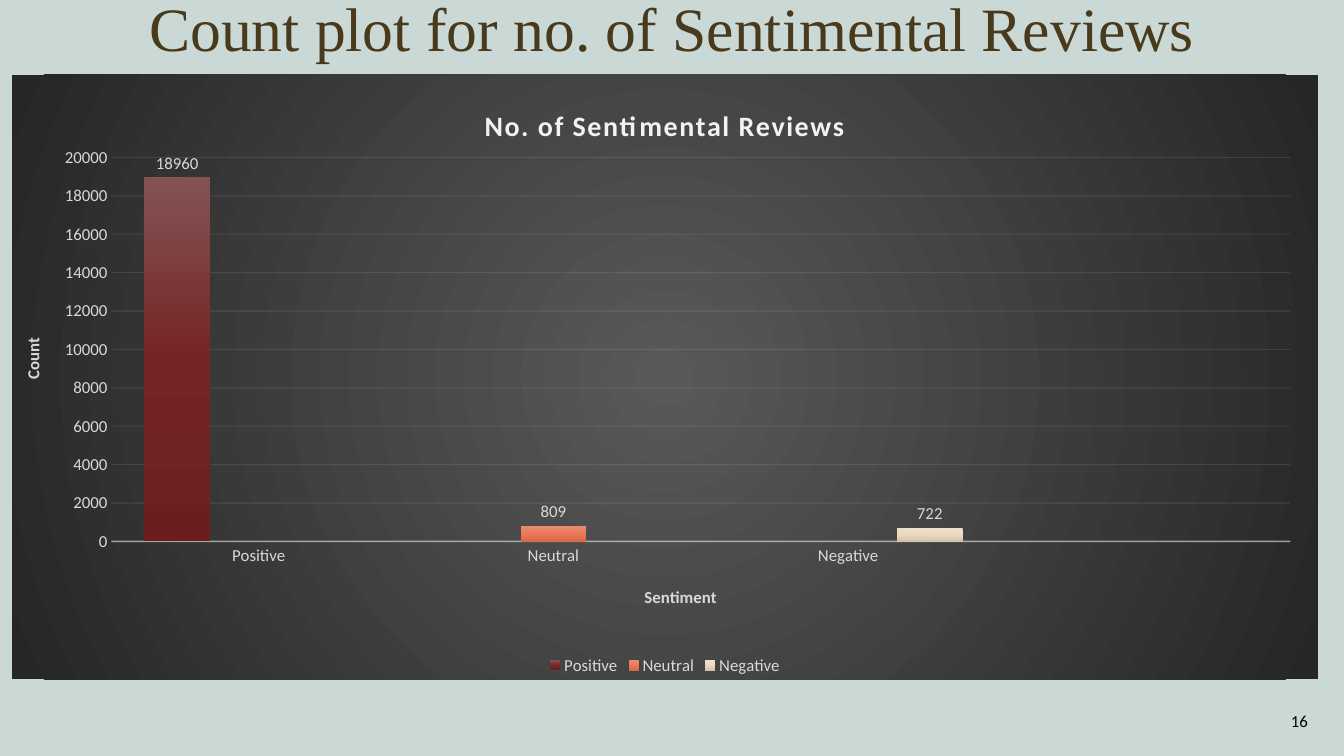
from lxml.etree import SubElement
from pptx import Presentation
from pptx.chart.data import CategoryChartData
from pptx.dml.color import RGBColor
from pptx.enum.chart import XL_CHART_TYPE, XL_LABEL_POSITION, XL_LEGEND_POSITION, XL_TICK_MARK
from pptx.enum.text import MSO_ANCHOR, PP_ALIGN
from pptx.oxml import parse_xml
from pptx.oxml.ns import nsdecls, qn
from pptx.util import Inches, Pt

BACKGROUND = RGBColor(0xCA, 0xD8, 0xD6)
BROWN = RGBColor(0x4A, 0x3A, 0x1C)
BLACK = RGBColor(0, 0, 0)
LIGHT_GREY = RGBColor(0xD9, 0xD9, 0xD9)
OFF_WHITE = RGBColor(0xF2, 0xF2, 0xF2)

# Gradient colours, from first stop to last
CHART_FILL = [RGBColor(0x59, 0x59, 0x59), RGBColor(0x26, 0x26, 0x26)]
BAR_FILLS = [
    [RGBColor(0x83, 0x52, 0x53), RGBColor(0x76, 0x25, 0x26), RGBColor(0x6C, 0x1E, 0x1F)],
    [RGBColor(0xE8, 0x8D, 0x75), RGBColor(0xEB, 0x79, 0x59), RGBColor(0xD8, 0x67, 0x48)],
    [RGBColor(0xEC, 0xE0, 0xCD), RGBColor(0xEA, 0xDA, 0xC2), RGBColor(0xD3, 0xC3, 0xAA)],
]
REVIEW_COUNTS = {"Positive": 18960, "Neutral": 809, "Negative": 722}


def add_gradient(properties, colors, direction):
    step = 100000 // (len(colors) - 1)
    stops = "".join(f'<a:gs pos="{index * step}"><a:srgbClr val="{color}"/></a:gs>'
                    for index, color in enumerate(colors))
    properties.append(parse_xml(
        f'<a:gradFill {nsdecls("a")}><a:gsLst>{stops}</a:gsLst>{direction}</a:gradFill>'))


def set_layout(parent, position, **values):
    """Place a chart part by fractions of the chart's size."""
    for old_layout in parent.findall(qn("c:layout")):
        parent.remove(old_layout)
    layout = parse_xml(f'<c:layout {nsdecls("c")}><c:manualLayout/></c:layout>')
    for name, value in values.items():
        SubElement(layout[0], qn(f"c:{name}")).set("val", str(value))
    parent.insert(position, layout)


deck = Presentation()
deck.slide_width, deck.slide_height = Inches(13.33), Inches(7.5)
page = deck.slides.add_slide(deck.slide_layouts[5])
page.background.fill.solid()
page.background.fill.fore_color.rgb = BACKGROUND

# Slide title
title = page.shapes.title
title.left, title.top = Inches(0.92), Inches(-0.12)
title.width, title.height = Inches(11.5), Inches(0.87)
title.text_frame.text = "Count plot for no. of Sentimental Reviews"
title.text_frame.vertical_anchor = MSO_ANCHOR.MIDDLE
para = title.text_frame.paragraphs[0]
para.alignment = PP_ALIGN.CENTER
para.line_spacing = 0.9
para.font.name, para.font.size = "Times New Roman", Pt(44)
para.font.color.rgb = BROWN

# Chart data: one series per sentiment, with a spare slot on the right
data = CategoryChartData()
data.categories = [*REVIEW_COUNTS, ""]
for sentiment, count in REVIEW_COUNTS.items():
    data.add_series(sentiment, [count if name == sentiment else None
                                for name in [*REVIEW_COUNTS, ""]])
chart = page.shapes.add_chart(XL_CHART_TYPE.COLUMN_CLUSTERED, Inches(0.12), Inches(0.74),
                              Inches(12.95), Inches(6), data).chart
chart.font.name, chart.font.size = "Calibri", Pt(12)
chart.font.color.rgb = LIGHT_GREY

# Chart background and plot area
chart_space = chart.element
area = parse_xml(f'<c:spPr {nsdecls("c", "a")}/>')
chart_space.find(qn("c:chart")).addnext(area)
add_gradient(area, CHART_FILL, '<a:path path="circle">'
             '<a:fillToRect l="50000" t="50000" r="50000" b="50000"/></a:path>')
area.append(parse_xml(f'<a:ln {nsdecls("a")}><a:noFill/></a:ln>'))
set_layout(chart_space.find(".//" + qn("c:plotArea")), 0, layoutTarget="inner",
           xMode="edge", yMode="edge", x=0.076, y=0.137, w=0.903, h=0.635)

# Bars and their labels
plot = chart.plots[0]
plot.vary_by_categories = False
plot.gap_width, plot.overlap = 100, -24
for series, colors in zip(plot.series, BAR_FILLS):
    add_gradient(series.format.fill and series._element.get_or_add_spPr(), colors,
                 '<a:lin ang="5400000" scaled="0"/>')
    labels = series.data_labels
    labels.show_value = True
    labels.position = XL_LABEL_POSITION.OUTSIDE_END
    labels.font.name, labels.font.size = "Calibri", Pt(12)
    labels.font.color.rgb = LIGHT_GREY

# Axes and gridlines
sentiment_axis, count_axis = chart.category_axis, chart.value_axis
for axis in (sentiment_axis, count_axis):
    axis.major_tick_mark = axis.minor_tick_mark = XL_TICK_MARK.NONE
count_axis.minimum_scale, count_axis.maximum_scale = 0, 20000
count_axis.major_unit = 2000
count_axis.format.line.fill.background()
for part, width, opacity in ((sentiment_axis, 1, 54), (count_axis.major_gridlines, 0.75, 10)):
    line = part.format.line
    line.width = Pt(width)
    line.color.rgb = OFF_WHITE
    color = line._get_or_add_ln().find(".//" + qn("a:srgbClr"))
    SubElement(color, qn("a:alpha")).set("val", str(opacity * 1000))

# Chart and axis titles
for owner, heading, size, color, left, top in (
        (chart.chart_title, "No. of Sentimental Reviews", 20, OFF_WHITE, 0.358, 0.043),
        (sentiment_axis.axis_title, "Sentiment", 12, LIGHT_GREY, 0.482, 0.84),
        (count_axis.axis_title, "Count", 12, LIGHT_GREY, 0.005, 0.43)):
    owner.text_frame.text = heading
    font = owner.text_frame.paragraphs[0].font
    font.name, font.size, font.bold = "Calibri", Pt(size), True
    font.color.rgb = color
    set_layout(owner._element, 1, xMode="edge", yMode="edge", x=left, y=top)
span = chart.chart_title.text_frame.paragraphs[0].runs[0]
span._r.get_or_add_rPr().set("spc", "100")

# Legend
chart.has_legend = True
chart.legend.position = XL_LEGEND_POSITION.BOTTOM
chart.legend.include_in_layout = False
chart.legend.font.name, chart.legend.font.size = "Calibri", Pt(12)
chart.legend.font.color.rgb = LIGHT_GREY

# Page number
box = page.shapes.add_textbox(Inches(10.07), Inches(6.95), Inches(3), Inches(0.4))
box.text_frame.word_wrap = True
box.text_frame.vertical_anchor = MSO_ANCHOR.MIDDLE
para = box.text_frame.paragraphs[0]
para.text = "16"
para.alignment = PP_ALIGN.RIGHT
para.font.name, para.font.size = "Calibri", Pt(12)
para.font.color.rgb = BLACK

deck.save("out.pptx")
